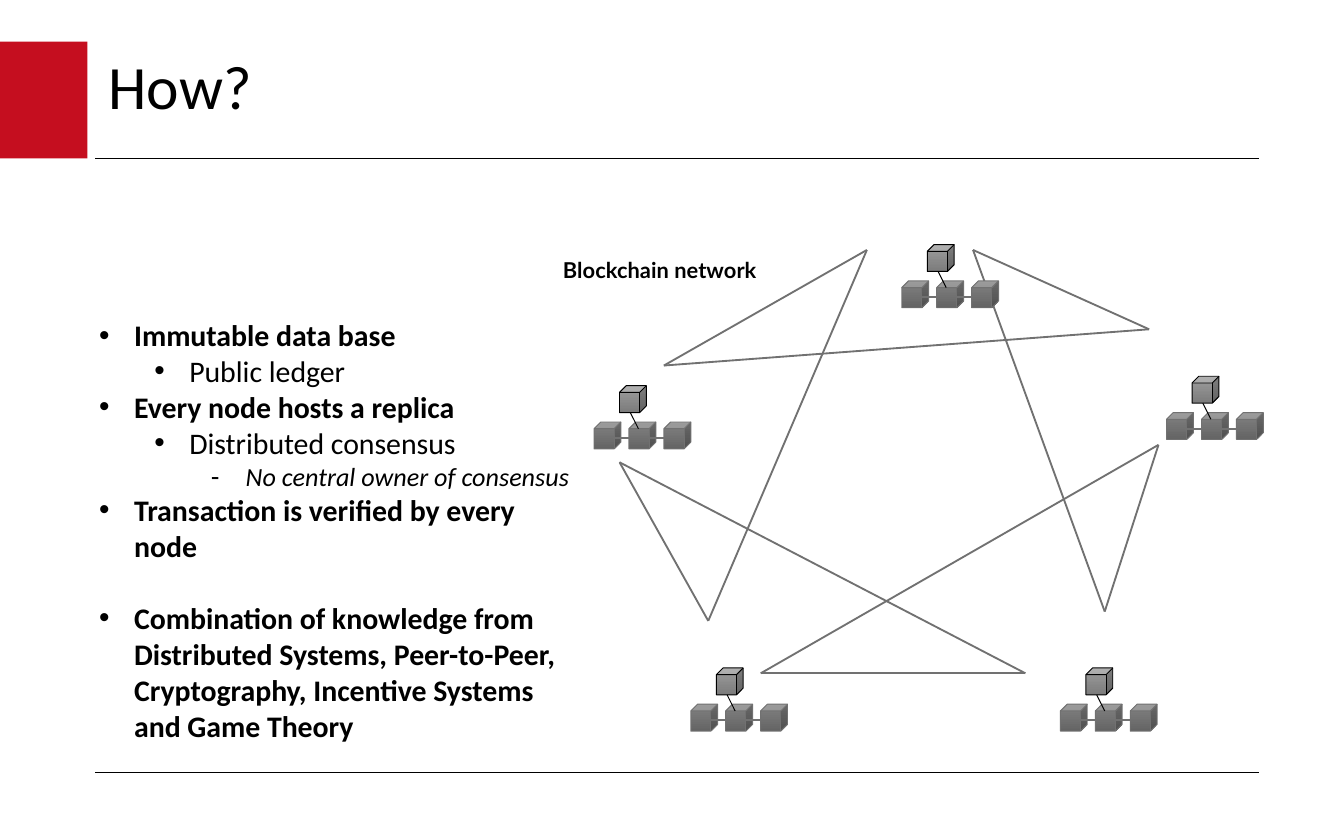
from typing import NamedTuple

from lxml import etree
from pptx import Presentation
from pptx import util as u
from pptx.dml.color import RGBColor
from pptx.enum import shapes as s, text as t
from pptx.oxml.ns import qn

INK = {"red": "C50E1F", "black": "000000", "gray": "717171",
       "top": "828282", "base": "646464", "new_top": "9D9D9D", "new_base": "7C7C7C"}


class Point(NamedTuple):
    x: float
    y: float


class Item(NamedTuple):
    text: str
    level: int = 0
    gap: float = 0


class Style(NamedTuple):
    indent: float
    mark: str
    size: int
    bold: bool = False
    italic: bool = False


# Chain nodes, each placed by the corner of its first block
NODES = [Point(4.42, 3.14), Point(5.14, 5.24), Point(7.89, 5.24),
         Point(8.68, 3.07), Point(6.71, 2.09)]
SIZE, PITCH = 0.2, 0.26

# Mesh corners and the links between them
ENDS = {"top_a": Point(6.45, 1.86), "top_b": Point(7.24, 1.86),
        "left_a": Point(4.94, 2.72), "left_b": Point(4.61, 3.44),
        "right_a": Point(8.55, 2.45), "right_b": Point(8.62, 3.31),
        "low_a": Point(5.27, 4.62), "low_b": Point(8.22, 4.55),
        "base_a": Point(5.66, 5.01), "base_b": Point(7.63, 5.01)}
LINKS = [("left_b", "base_b"), ("base_a", "base_b"), ("right_b", "low_b"),
         ("top_b", "right_a"), ("top_a", "left_a"), ("left_b", "low_a"),
         ("top_a", "low_a"), ("top_b", "low_b"), ("right_a", "left_a"),
         ("right_b", "base_a")]

STYLES = [Style(0.68, "•", 16, bold=True), Style(1.09, "•", 16),
          Style(1.51, "-", 14, italic=True)]
ITEMS = [
    Item("Immutable data base"),
    Item("Public ledger", 1),
    Item("Every node hosts a replica"),
    Item("Distributed consensus", 1),
    Item("No central owner of consensus", 2),
    Item("Transaction is verified by every node"),
    Item("Combination of knowledge from Distributed Systems, Peer-to-Peer, "
         "Cryptography, Incentive Systems and Game Theory", gap=19.5),
]


def rgb(name: str) -> RGBColor:
    return RGBColor.from_string(INK[name])


def line(board, a: Point, b: Point, color: str, width: float) -> None:
    link = board.add_connector(s.MSO_CONNECTOR.STRAIGHT, u.Inches(a.x), u.Inches(a.y),
                               u.Inches(b.x), u.Inches(b.y))
    link.line.color.rgb = rgb(color)
    link.line.width = u.Pt(width)
    etree.SubElement(link._element.spPr, qn("a:effectLst"))


def cube(board, at: Point, top: str, base: str, edge: str) -> None:
    block = board.add_shape(s.MSO_SHAPE.CUBE, u.Inches(at.x), u.Inches(at.y),
                            u.Inches(SIZE), u.Inches(SIZE))
    block.shadow.inherit = False
    block.fill.gradient()
    block.fill.gradient_angle = 270
    for stop, name in zip(block.fill.gradient_stops, (top, base)):
        stop.color.rgb = rgb(name)
    block.line.color.rgb = rgb(edge)
    block.line.width = u.Pt(0.5)


def chain(board, at: Point) -> None:
    """Three linked blocks with a new block above them."""
    def off(x: float, y: float) -> Point:
        return Point(at.x + x, at.y + y)

    group = board.add_group_shape().shapes
    for i in range(3):
        cube(group, off(i * PITCH, 0), "top", "base", "gray")
    cube(group, off(0.19, -0.27), "new_top", "new_base", "black")
    line(group, off(0.33, 0.05), off(0.27, -0.07), "black", 0.5)
    for i in range(2):
        line(group, off(i * PITCH + 0.14, 0.12), off((i + 1) * PITCH, 0.12), "gray", 1)


def box(board, x: float, y: float, w: float, h: float, wrap: bool = True):
    frame = board.add_textbox(u.Inches(x), u.Inches(y), u.Inches(w), u.Inches(h)).text_frame
    frame.word_wrap = wrap
    return frame


def style(para, face: str, size: float, bold: bool = False, italic: bool = False) -> None:
    for run in para.runs:
        font = run.font
        font.name, font.size = face, u.Pt(size)
        font.bold, font.italic = bold, italic
        font.color.rgb = rgb("black")


def bullet(para, item: Item) -> None:
    look = STYLES[item.level]
    para.text = item.text
    para.level = item.level
    if item.gap:
        para.space_before = u.Pt(item.gap)
    props = para._p.get_or_add_pPr()
    props.set("marL", str(u.Inches(look.indent)))
    props.set("indent", str(u.Inches(-0.26)))
    etree.SubElement(props, qn("a:buFont")).set("typeface", "Arial")
    etree.SubElement(props, qn("a:buChar")).set("char", look.mark)
    style(para, "Calibri", look.size, look.bold, look.italic)


def main() -> None:
    deck = Presentation()
    deck.slide_width, deck.slide_height = u.Inches(10), u.Inches(6.25)
    board = deck.slides.add_slide(deck.slide_layouts[6]).shapes

    # Red tab and rules
    tab = board.add_shape(s.MSO_SHAPE.RECTANGLE, 0, u.Inches(0.31),
                          u.Inches(0.65), u.Inches(0.87))
    tab.shadow.inherit = False
    tab.fill.solid()
    tab.fill.fore_color.rgb = rgb("red")
    tab.line.fill.background()
    for y in (1.18, 5.75):
        line(board, Point(0.71, y), Point(9.37, y), "black", 0.75)

    # Title
    title = box(board, 0.71, 0.31, 8.66, 0.71)
    title.vertical_anchor = t.MSO_ANCHOR.MIDDLE
    title.text = "How?"
    title.paragraphs[0].line_spacing = 0.9
    style(title.paragraphs[0], "Calibri", 33)

    # Network: mesh, then chains
    for a, b in LINKS:
        line(board, ENDS[a], ENDS[b], "gray", 1)
    for node in NODES:
        chain(board, node)

    # Bullets
    body = box(board, 0.22, 2.31, 4.13, 3.3)
    for i, item in enumerate(ITEMS):
        bullet(body.add_paragraph() if i else body.paragraphs[0], item)

    # Network label
    label = box(board, 4.09, 1.86, 1.75, 0.3, wrap=False)
    label.text = "Blockchain network"
    style(label.paragraphs[0], "Lato", 11.7, bold=True)

    deck.save("out.pptx")


if __name__ == "__main__":
    main()
